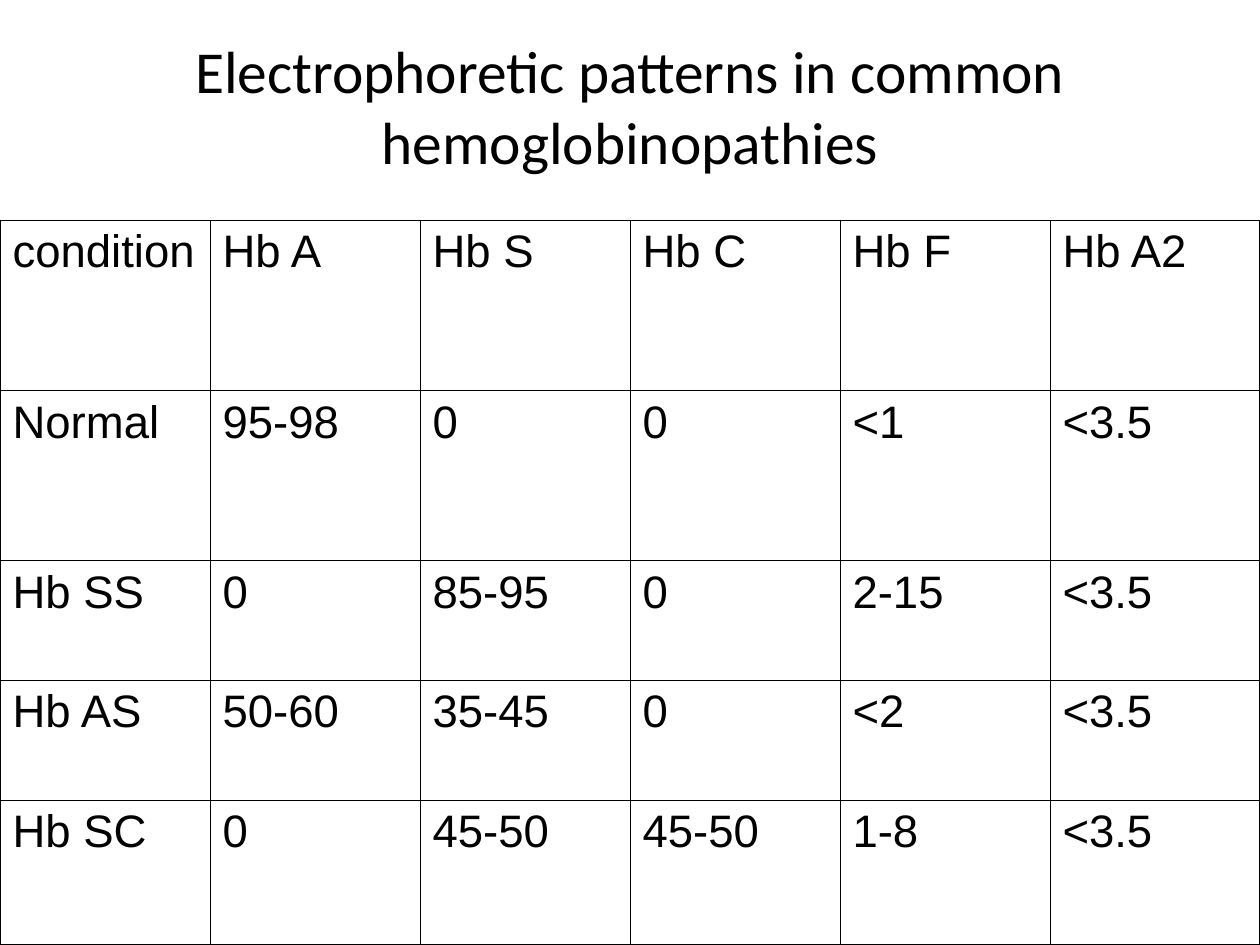
import pptx
import pptx.dml.color
import pptx.enum.text
import pptx.oxml
import pptx.oxml.ns
import pptx.util
from pptx.util import Inches

INK = "000000"
THIN, THICK = 0.45, 1.08
HEIGHTS = [1.35, 1.35, 0.95, 0.95, 1.15]
ROWS = [
    ["condition", "Hb A", "Hb S", "Hb C", "Hb F", "Hb A2"],
    ["Normal", "95-98", "0", "0", "<1", "<3.5"],
    ["Hb SS", "0", "85-95", "0", "2-15", "<3.5"],
    ["Hb AS", "50-60", "35-45", "0", "<2", "<3.5"],
    ["Hb SC", "0", "45-50", "45-50", "1-8", "<3.5"],
]


def paint(color, code):
    color.rgb = pptx.dml.color.RGBColor.from_string(code)


def style(para, face, size):
    for run in para.runs:
        run.font.name = face
        run.font.size = pptx.util.Pt(size)
        paint(run.font.color, INK)


def add_title(slide, text):
    title = slide.shapes.title
    title.left, title.top = Inches(0.5), Inches(0.3)
    title.width, title.height = Inches(9), Inches(1.07)
    frame = title.text_frame
    frame.text = text
    frame.word_wrap = True
    frame.auto_size = pptx.enum.text.MSO_AUTO_SIZE.NONE
    frame.vertical_anchor = pptx.enum.text.MSO_ANCHOR.MIDDLE
    para = frame.paragraphs[0]
    para.alignment = pptx.enum.text.PP_ALIGN.CENTER
    style(para, "Calibri", 34)


def add_edges(cell, edges):
    props = cell._tc.get_or_add_tcPr()
    for place, (side, outer) in enumerate(edges):
        width = pptx.util.Pt(THICK if outer else THIN)
        line = pptx.oxml.parse_xml(
            f'<a:ln{side} {pptx.oxml.ns.nsdecls("a")} w="{width}">'
            f'<a:solidFill><a:srgbClr val="{INK}"/></a:solidFill></a:ln{side}>'
        )
        props.insert(place, line)


def add_grid(slide, rows):
    count, span = len(rows), len(rows[0])
    frame = slide.shapes.add_table(
        count, span, 0, Inches(1.75), Inches(10), Inches(sum(HEIGHTS))
    )
    table = frame.table
    table.first_row = table.horz_banding = False
    for row, height in zip(table.rows, HEIGHTS):
        row.height = Inches(height)
    for r, texts in enumerate(rows):
        for c, text in enumerate(texts):
            cell = table.cell(r, c)
            cell.text_frame.text = text
            style(cell.text_frame.paragraphs[0], "Arial", 26)
            cell.fill.background()
            add_edges(cell, [("L", c == 0), ("R", c == span - 1),
                             ("T", r == 0), ("B", r == count - 1)])


def main():
    deck = pptx.Presentation()
    deck.slide_width, deck.slide_height = Inches(10), Inches(7.5)
    slide = deck.slides.add_slide(deck.slide_layouts[5])
    add_title(slide, "Electrophoretic patterns in common hemoglobinopathies")
    add_grid(slide, ROWS)
    deck.save("out.pptx")


if __name__ == "__main__":
    main()
